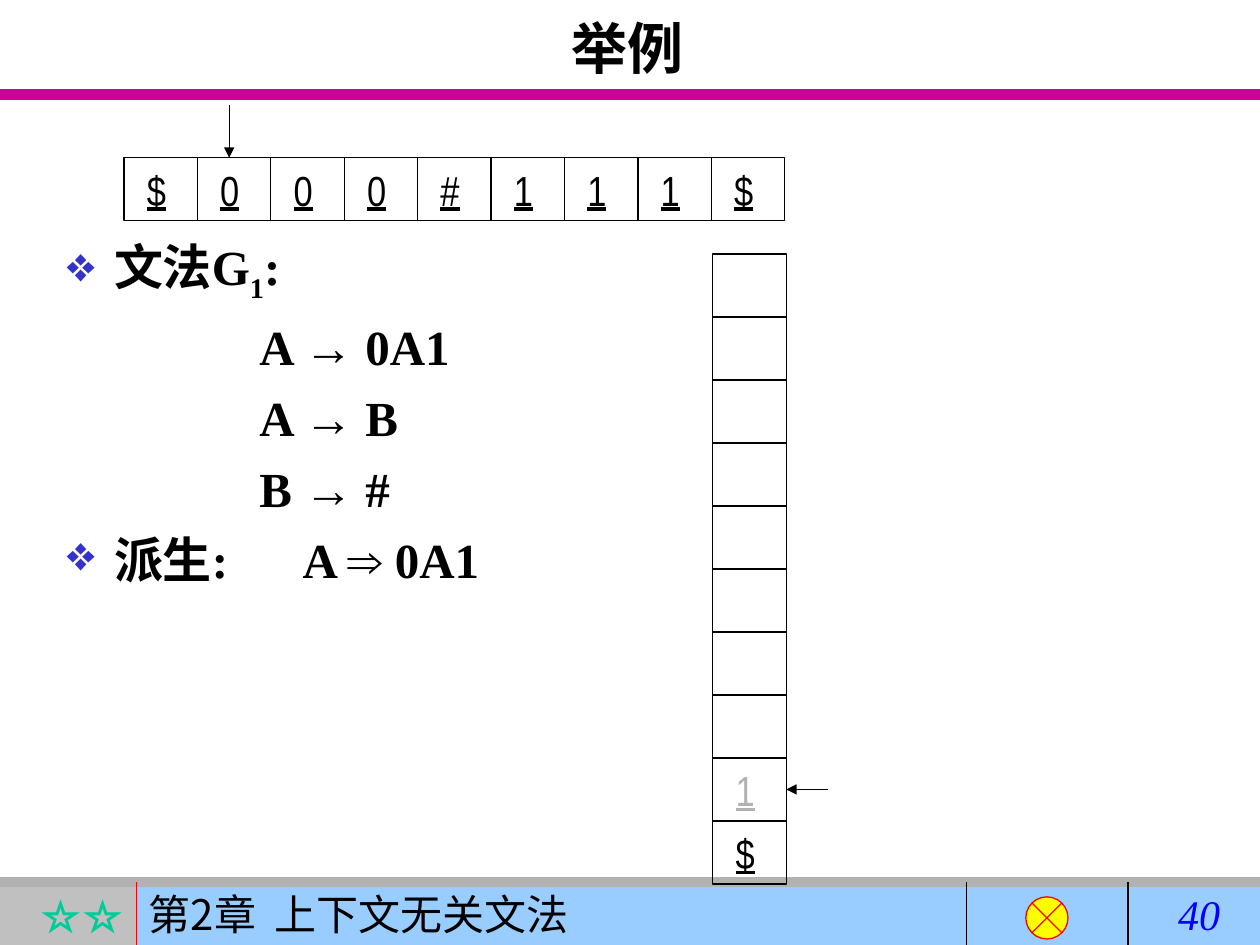
from lxml import etree
from pptx import Presentation
from pptx.dml.color import RGBColor
from pptx.enum.shapes import MSO_CONNECTOR, MSO_SHAPE
from pptx.enum.text import MSO_ANCHOR, PP_ALIGN
from pptx.oxml.ns import qn
from pptx.util import Cm, Pt

STRAIGHT = MSO_CONNECTOR.STRAIGHT
RECTANGLE = MSO_SHAPE.RECTANGLE
SUMMING_JUNCTION = MSO_SHAPE.FLOWCHART_SUMMING_JUNCTION
TOP, MIDDLE = MSO_ANCHOR.TOP, MSO_ANCHOR.MIDDLE
LEFT, CENTER, RIGHT = PP_ALIGN.LEFT, PP_ALIGN.CENTER, PP_ALIGN.RIGHT
RIGHT_SIDE = 3

BLACK = RGBColor(0x00, 0x00, 0x00)
MAGENTA = RGBColor(0xCC, 0x00, 0x99)
SILVER = RGBColor(0xC0, 0xC0, 0xC0)
GREY = RGBColor(0xB2, 0xB2, 0xB2)
SKY = RGBColor(0x99, 0xCC, 0xFF)
GREEN = RGBColor(0x00, 0xCC, 0x99)
RED = RGBColor(0xFF, 0x00, 0x00)
YELLOW = RGBColor(0xFF, 0xFF, 0x00)
BLUE = RGBColor(0x00, 0x00, 0xFF)
INDIGO = RGBColor(0x33, 0x33, 0xCC)

SERIF, SANS, NARROW = "Times New Roman", "Arial", "Arial Narrow"
CHINESE = "Noto Sans CJK SC"
SLIDE_W, SLIDE_H = 25.4, 19.05
CELL_W, CELL_H = 1.48, 1.27


def style_font(paragraph, size, name, color, bold=False, italic=False, underline=False):
    font = paragraph.font
    font.size, font.name = Pt(size), name
    font.bold, font.italic, font.underline = bold, italic, underline
    font.color.rgb = color
    latin = font._element.find(qn("a:latin"))
    east_asian = etree.Element(qn("a:ea"), typeface=CHINESE)
    latin.addnext(east_asian)


def add_line(slide, x1, y1, x2, y2, color=BLACK, width=0.75, arrow=False):
    line = slide.shapes.add_connector(STRAIGHT, Cm(x1), Cm(y1), Cm(x2), Cm(y2))
    line.line.color.rgb = color
    line.line.width = Pt(width)
    if arrow:
        etree.SubElement(line.line._get_or_add_ln(), qn("a:tailEnd"), type="triangle")
    etree.SubElement(line._element.spPr, qn("a:effectLst"))
    return line


def add_box(slide, x, y, w, h, preset=RECTANGLE, fill=None, outline=None):
    box = slide.shapes.add_shape(preset, Cm(x), Cm(y), Cm(w), Cm(h))
    box.shadow.inherit = False
    if fill is None:
        box.fill.background()
    else:
        box.fill.solid()
        box.fill.fore_color.rgb = fill
    if outline is None:
        box.line.fill.background()
    else:
        box.line.color.rgb = outline
        box.line.width = Pt(0.75)
    return box


def write(shape, text, size, name, color, align=LEFT, anchor=MIDDLE, **style):
    frame = shape.text_frame
    frame.word_wrap = True
    frame.vertical_anchor = anchor
    paragraph = frame.paragraphs[0]
    paragraph.alignment = align
    paragraph.add_run().text = text
    style_font(paragraph, size, name, color, **style)


def add_text_box(slide, x, y, w, h):
    return slide.shapes.add_textbox(Cm(x), Cm(y), Cm(w), Cm(h))


def header(slide, x, y, w, h):
    add_line(slide, x, y + h, x + w, y + h, MAGENTA, 6)
    title = add_text_box(slide, x + 1.85, y + 0.15, 21.6, h - 0.15)
    write(title, "举例", 32, SERIF, BLACK, CENTER, TOP, bold=True)


def footer(slide, x, y, w, h):
    rating_w = 2.75
    rating = add_box(slide, x, y, rating_w, h, fill=SILVER)
    write(rating, "☆☆", 24, SERIF, GREEN, RIGHT, bold=True)
    chapter = add_box(slide, x + rating_w, y, w - rating_w, h, fill=SKY)
    write(chapter, "第2章  上下文无关文法", 24, CHINESE, BLACK)
    add_line(slide, x, y, x + w, y, GREY, 6)
    for offset, color in ((rating_w, RED), (19.48, BLACK), (22.74, BLACK)):
        add_line(slide, x + offset, y, x + offset, y + h, color)
    add_box(slide, x + 20.68, y + 0.3, 0.85, 0.85, SUMMING_JUNCTION, YELLOW, RED)
    page = add_text_box(slide, x + 23.5, y, 1.9, h)
    write(page, "40", 24, SERIF, BLUE, italic=True)


def add_cell(slide, x, y, symbol, color=BLACK):
    cell = add_box(slide, x, y, CELL_W, CELL_H, outline=BLACK)
    if symbol:
        cell.text_frame.margin_left = Cm(0.46)
        cell.text_frame.margin_right = 0
        write(cell, symbol, 24, NARROW, color, underline=True)
    return cell


def input_tape(slide, x, y, symbols):
    for i, symbol in enumerate(symbols):
        add_cell(slide, x + i * CELL_W, y, symbol)
    # Reading head
    head_x = x + 2.12
    add_line(slide, head_x, y - 1.07, head_x, y, arrow=True)


def stack(slide, x, y, depth, symbols):
    first = depth - len(symbols)
    for i in range(first):
        add_cell(slide, x, y + i * CELL_H, "")
    for i, (symbol, color) in enumerate(symbols, first):
        cell = add_cell(slide, x, y + i * CELL_H, symbol, color)
        if i == first:
            # Top-of-stack pointer
            side, level = x + CELL_W, y + (i + 0.5) * CELL_H
            pointer = add_line(slide, side + 0.84, level, side, level, arrow=True)
            pointer.end_connect(cell, RIGHT_SIDE)


def add_bullet(paragraph):
    properties = paragraph._p.get_or_add_pPr()
    bullet_color = etree.SubElement(properties, qn("a:buClr"))
    etree.SubElement(bullet_color, qn("a:srgbClr"), val=str(INDIGO))
    etree.SubElement(properties, qn("a:buChar"), char="❖")
    tabs = etree.SubElement(properties, qn("a:tabLst"))
    etree.SubElement(tabs, qn("a:tab"), pos=str(Cm(4.75)), algn="l")


def grammar(slide, x, y, w, h):
    frame = add_text_box(slide, x, y, w, h).text_frame
    frame.word_wrap = True
    lines = [
        (True, ["文法G", "1", ":"]),
        (False, ["A ", "→", " 0A1"]),
        (False, ["A ", "→", " B"]),
        (False, ["B ", "→", " #"]),
        (True, ["派生:\tA ", "⇒", " 0A1"]),
    ]
    for i, (bulleted, parts) in enumerate(lines):
        paragraph = frame.paragraphs[0] if i == 0 else frame.add_paragraph()
        properties = paragraph._p.get_or_add_pPr()
        properties.set("marL", str(Cm(0.95 if bulleted else 3.88)))
        properties.set("indent", str(Cm(-0.95 if bulleted else 0)))
        if bulleted:
            add_bullet(paragraph)
        if i:
            paragraph.space_before = Pt(7)
        style_font(paragraph, 28, SERIF, BLACK, bold=True)
        for part in parts:
            run = paragraph.add_run()
            run.text = part
            if part in "→⇒":
                run.font.name = SANS
            elif part == "1":
                run.font._element.set("baseline", "-25000")


def main():
    prs = Presentation()
    prs.slide_width, prs.slide_height = Cm(SLIDE_W), Cm(SLIDE_H)
    slide = prs.slides.add_slide(prs.slide_layouts[6])
    footer(slide, 0, 17.78, SLIDE_W, 1.27)
    header(slide, 0, 0, SLIDE_W, 1.9)
    grammar(slide, 1.1, 4.65, 12.9, 12.9)
    input_tape(slide, 2.5, 3.18, "$000#111$")
    stack(slide, 14.37, 5.12, 10, [("1", GREY), ("$", BLACK)])
    prs.save("out.pptx")


if __name__ == "__main__":
    main()
